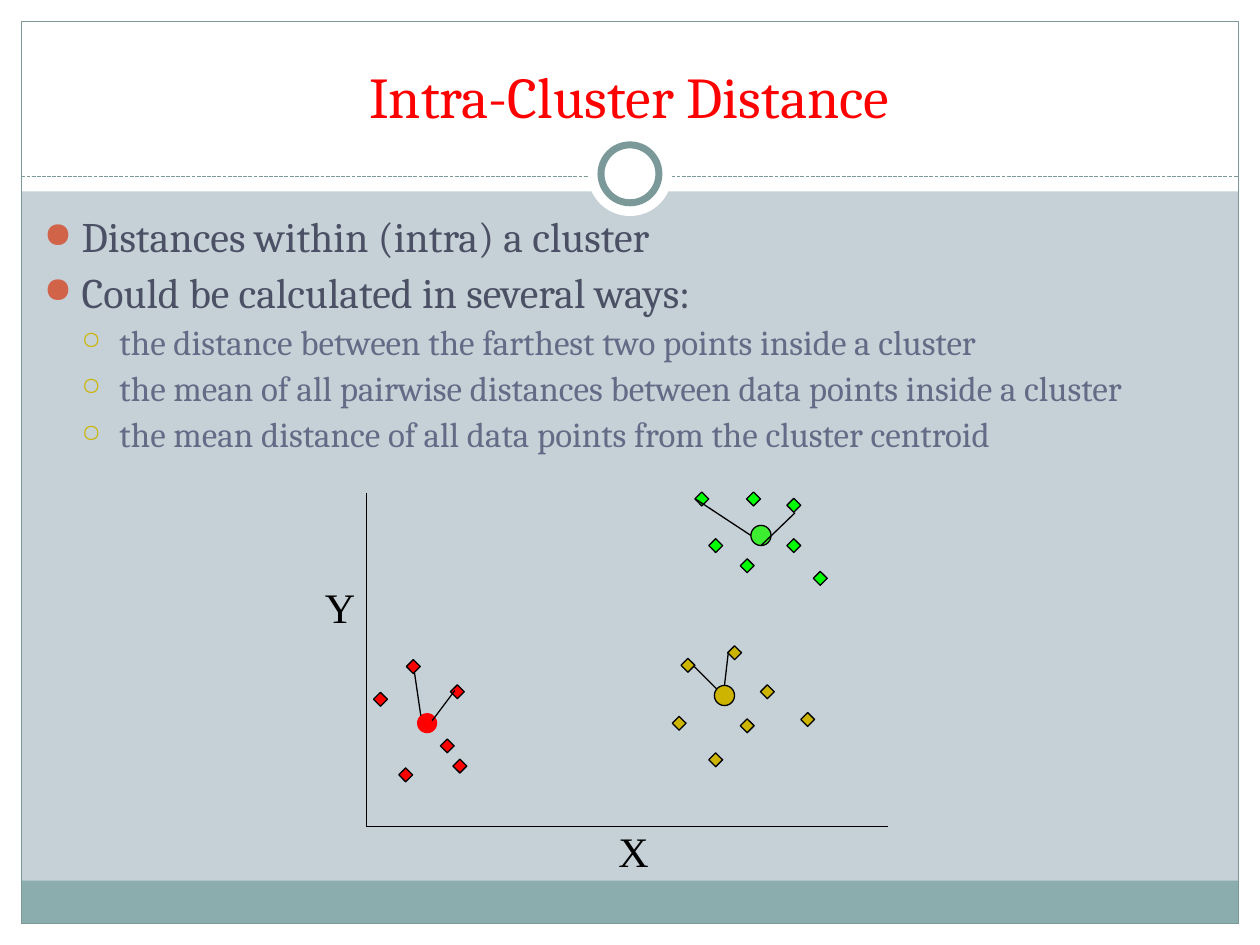
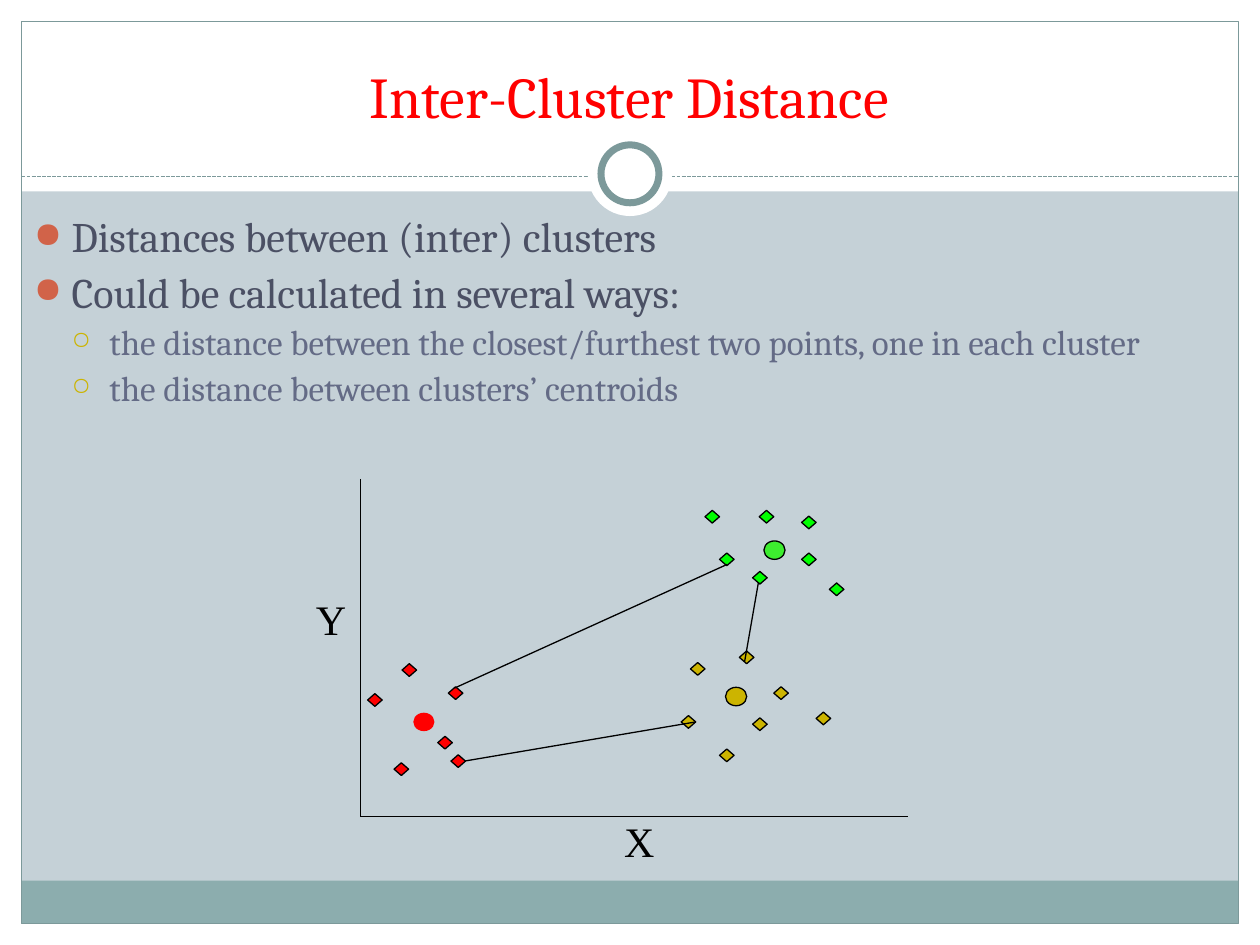
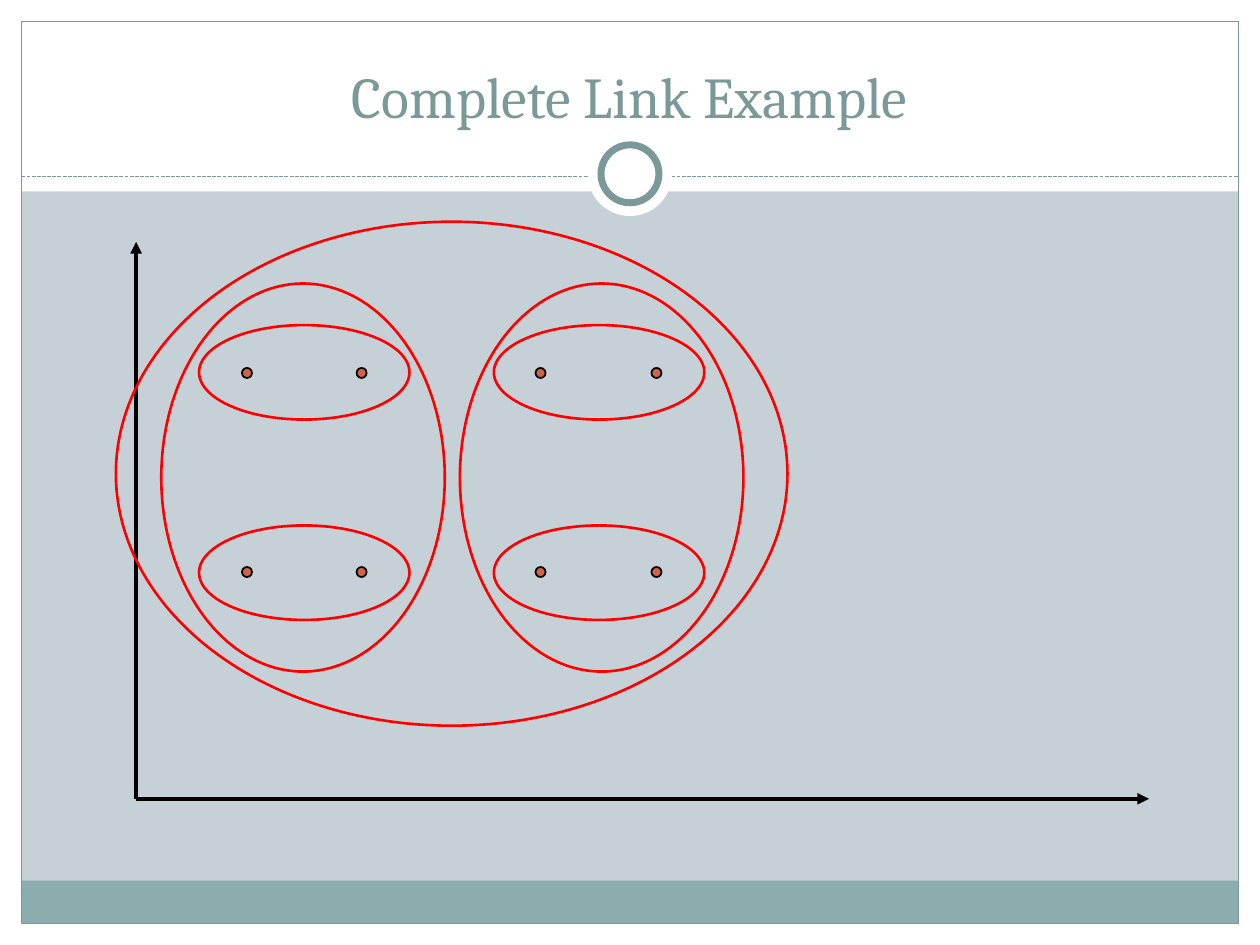
"""Build three slides on cluster distances and complete linkage."""
import itertools

import lxml.etree
import pptx
import pptx.dml.color
import pptx.enum.dml
import pptx.enum.shapes
import pptx.enum.text
import pptx.oxml.ns
import pptx.util

WIDTH, HEIGHT = 10, 7.5
MARGIN = 0.17
TEAL, BAND, BACKGROUND = "7C999A", "8CADAE", "C5D1D7"
RED, GREEN, YELLOW, BLACK, WHITE = "FF0000", "00FF00", "CCB400", "000000", "FFFFFF"
CENTROID_GREEN, ORANGE = "3DED2F", "D16349"
FONT, AXIS_FONT = "Cambria", "Times New Roman"

LEVELS = [
    dict(size=24, color="4B5064", bullet="●", bullet_color=ORANGE, bullet_size=85, space=5.6),
    dict(size=20, color="646B86", bullet="○", bullet_color=YELLOW, bullet_size=70, space=4.7),
]
INDENT = 0.3

CLUSTERS = [
    dict(color=RED, centroid=(0.48, 0.82), centroid_color=RED, centroid_line=None,
         points=[(0.64, 0.64), (0.74, 0.48), (0.37, 1.27), (0.72, 1.07), (0.31, 0.41), (0.11, 1.01)]),
    dict(color=GREEN, centroid=(3.13, 2.31), centroid_color=CENTROID_GREEN, centroid_line=BLACK,
         points=[(3.07, 2.6), (3.39, 2.55), (2.77, 2.23), (3.39, 2.23), (3.6, 1.97), (2.66, 2.6),
                 (3.02, 2.07)]),
    dict(color=YELLOW, centroid=(2.84, 1.04), centroid_color=YELLOW, centroid_line=BLACK,
         points=[(2.92, 1.38), (2.48, 0.82), (3.02, 0.8), (2.55, 1.28), (3.5, 0.85), (2.77, 0.53),
                 (3.18, 1.07)]),
]
AXIS_LENGTH = 4.14
AXIS_LABELS = [("X", 1.9, 0.06), ("Y", -0.43, 1.99)]
DIAMOND_SIZE, CENTROID_SIZE = 0.11, 0.16

SCATTER_SLIDES = [
    dict(
        title="Intra-Cluster Distance",
        body=(0.25, 1.67, 9.5, 5.42),
        bullets=[
            (0, "Distances within (intra) a cluster"),
            (0, "Could be calculated in several ways:"),
            (1, "the distance between the farthest two points inside a cluster"),
            (1, "the mean of all pairwise distances between data points inside a cluster"),
            (1, "the mean distance of all data points from the cluster centroid"),
        ],
        origin=(2.91, 6.56), scale=(1, 1), axis_top=3.91,
        links=[((5.51, 5.29), (5.69, 5.47)), ((5.78, 5.18), (5.75, 5.44)),
               ((3.29, 5.34), (3.34, 5.68)), ((3.61, 5.48), (3.43, 5.72)),
               ((5.52, 3.96), (5.96, 4.25)), ((6.31, 4.07), (6.04, 4.33))],
    ),
    dict(
        title="Inter-Cluster Distance",
        body=(0.17, 1.67, 9.63, 5.42),
        bullets=[
            (0, "Distances between (inter) clusters"),
            (0, "Could be calculated in several ways:"),
            (1, "the distance between the closest/furthest two points, one in each cluster"),
            (1, "the distance between clusters’ centroids"),
        ],
        origin=(2.86, 6.48), scale=(1.05, 0.915), axis_top=3.8,
        links=[((3.61, 5.46), (5.77, 4.48)), ((3.69, 6.04), (5.52, 5.73)),
               ((6.02, 4.62), (5.91, 5.25))],
    ),
]

LINK_TITLE = "Complete Link Example"
LINK_ORIGIN, LINK_AXIS_ENDS = (1.08, 6.34), [(1.08, 1.92), (9.12, 6.34)]
POINT_COLUMNS, POINT_ROWS, POINT_SIZE = (1.92, 2.83, 4.25, 5.17), (2.92, 4.5), 0.08
PAIR_COLUMNS, PAIR_ROWS, PAIR_SIZE = (1.58, 3.92), (2.58, 4.17), (1.67, 0.75)
GROUP_COLUMNS, GROUP_TOP, GROUP_SIZE = (1.28, 3.65), 2.25, (2.25, 3.08)
WHOLE = (0.92, 1.76, 5.33, 4)

SHAPES = pptx.enum.shapes.MSO_SHAPE


def rgb(color):
    return pptx.dml.color.RGBColor.from_string(color)


def inches(values):
    return [pptx.util.Inches(value) for value in values]


def add_child(parent, tag, **attributes):
    element = lxml.etree.SubElement(parent, pptx.oxml.ns.qn(tag))
    for name, value in attributes.items():
        element.set(name, str(value))
    return element


def add_shape(slide, kind, box, fill=None, line=None, weight=0.75):
    shape = slide.shapes.add_shape(kind, *inches(box))
    shape.shadow.inherit = False
    if fill:
        shape.fill.solid()
        shape.fill.fore_color.rgb = rgb(fill)
    else:
        shape.fill.background()
    if line:
        shape.line.color.rgb = rgb(line)
        shape.line.width = pptx.util.Pt(weight)
    else:
        shape.line.fill.background()
    return shape


def add_centered(slide, kind, center, size, **style):
    box = [middle - length / 2 for middle, length in zip(center, size)]
    return add_shape(slide, kind, (*box, *size), **style)


def add_line(slide, start, end, color=BLACK, weight=0.75, dash=None, arrow=False):
    line = slide.shapes.add_connector(
        pptx.enum.shapes.MSO_CONNECTOR.STRAIGHT, *inches((*start, *end)))
    line.line.color.rgb = rgb(color)
    line.line.width = pptx.util.Pt(weight)
    if dash:
        line.line.dash_style = dash
    if arrow:
        add_child(line.line._get_or_add_ln(), "a:tailEnd", type="triangle")
    add_child(line.element.spPr, "a:effectLst")
    return line


def write(paragraph, text, size, color, font=FONT, align=None, level=0, bullet=None,
          bullet_color=None, bullet_size=100, space=0):
    paragraph.text = text
    if bullet:
        properties = paragraph._p.get_or_add_pPr()
        properties.set("marL", str(pptx.util.Inches(INDENT * (level + 1))))
        properties.set("indent", str(pptx.util.Inches(-INDENT)))
        add_child(add_child(properties, "a:buClr"), "a:srgbClr", val=bullet_color)
        add_child(properties, "a:buSzPct", val=bullet_size * 1000)
        add_child(properties, "a:buChar", char=bullet)
        paragraph.level = level
        paragraph.line_spacing = 0.9
        paragraph.space_before = pptx.util.Pt(space)
    paragraph.alignment = align
    run_font = paragraph.runs[0].font
    run_font.name = font
    run_font.size = pptx.util.Pt(size)
    run_font.color.rgb = rgb(color)


def prepare_layout(layout):
    layout.background.fill.solid()
    layout.background.fill.fore_color.rgb = rgb(BACKGROUND)
    title, *others = layout.placeholders
    for placeholder in others:
        layout.shapes.element.remove(placeholder.element)
    title.left, title.top, title.width, title.height = inches((0.33, 0.25, 9.33, 0.83))
    title.text_frame.vertical_anchor = pptx.enum.text.MSO_ANCHOR.BOTTOM


def add_frame(slide, layout):
    inner_width = WIDTH - 2 * MARGIN
    inner_bottom = HEIGHT - MARGIN
    rectangle, ellipse = SHAPES.RECTANGLE, SHAPES.OVAL
    borders = [(0, inner_bottom, WIDTH, MARGIN), (0, 0, WIDTH, 1.52),
               (0, 0, MARGIN, HEIGHT), (WIDTH - MARGIN, 0, MARGIN, HEIGHT)]
    parts = [add_shape(slide, rectangle, box, fill=WHITE) for box in borders]
    parts += [
        add_shape(slide, rectangle, (MARGIN, 6.99, inner_width, 0.34), fill=BAND),
        add_shape(slide, rectangle, (MARGIN, MARGIN, inner_width, inner_bottom - MARGIN), line=TEAL),
        add_line(slide, (MARGIN, 1.4), (WIDTH - MARGIN, 1.4), color=TEAL,
                 dash=pptx.enum.dml.MSO_LINE.SQUARE_DOT),
        add_centered(slide, ellipse, (WIDTH / 2, 1.38), (0.67, 0.67), fill=WHITE),
        add_centered(slide, ellipse, (WIDTH / 2, 1.38), (0.46, 0.46), fill=WHITE, line=TEAL, weight=4),
    ]
    for part in parts:
        layout.shapes.element.append(part.element)


def add_slide(presentation, layout, title, color):
    slide = presentation.slides.add_slide(layout)
    write(slide.shapes.title.text_frame.paragraphs[0], title, size=33, color=color,
          align=pptx.enum.text.PP_ALIGN.CENTER)
    return slide


def add_bullets(slide, box, bullets):
    frame = slide.shapes.add_textbox(*inches(box)).text_frame
    frame.word_wrap = True
    for index, (level, text) in enumerate(bullets):
        paragraph = frame.add_paragraph() if index else frame.paragraphs[0]
        style = LEVELS[level] if index else {**LEVELS[level], "space": 0}
        write(paragraph, text, level=level, **style)


def add_scatter(slide, origin, scale, axis_top, links):
    def place(right, up):
        return origin[0] + right * scale[0], origin[1] - up * scale[1]

    def scaled(size):
        return size * scale[0], size * scale[1]

    for cluster in CLUSTERS:
        for point in cluster["points"]:
            add_centered(slide, SHAPES.DIAMOND, place(*point), scaled(DIAMOND_SIZE),
                         fill=cluster["color"], line=BLACK)
        add_centered(slide, SHAPES.OVAL, place(*cluster["centroid"]), scaled(CENTROID_SIZE),
                     fill=cluster["centroid_color"], line=cluster["centroid_line"])
    add_line(slide, (origin[0], axis_top), origin)
    add_line(slide, origin, place(AXIS_LENGTH, 0))
    for text, right, up in AXIS_LABELS:
        label = slide.shapes.add_textbox(*inches((*place(right, up), 0.44, 0.46)))
        label.text_frame.word_wrap = False
        write(label.text_frame.paragraphs[0], text, size=24, color=BLACK, font=AXIS_FONT)
    for start, end in links:
        add_line(slide, start, end)


def add_linkage(slide):
    for end in LINK_AXIS_ENDS:
        add_line(slide, LINK_ORIGIN, end, weight=2.25, arrow=True)
    for corner in itertools.product(POINT_COLUMNS, POINT_ROWS):
        add_shape(slide, SHAPES.OVAL, (*corner, POINT_SIZE, POINT_SIZE),
                  fill=ORANGE, line=BLACK, weight=1)
    rings = [(*corner, *PAIR_SIZE) for corner in itertools.product(PAIR_COLUMNS, PAIR_ROWS)]
    rings += [(left, GROUP_TOP, *GROUP_SIZE) for left in GROUP_COLUMNS]
    for ring in [*rings, WHOLE]:
        add_shape(slide, SHAPES.OVAL, ring, line=RED, weight=1.5)


def main():
    presentation = pptx.Presentation()
    presentation.slide_width, presentation.slide_height = inches((WIDTH, HEIGHT))
    layout = presentation.slide_layouts.get_by_name("Title Only")
    prepare_layout(layout)
    for content in SCATTER_SLIDES:
        slide = add_slide(presentation, layout, content["title"], RED)
        add_scatter(slide, content["origin"], content["scale"], content["axis_top"], content["links"])
        add_bullets(slide, content["body"], content["bullets"])
    slide = add_slide(presentation, layout, LINK_TITLE, TEAL)
    add_frame(slide, layout)
    add_linkage(slide)
    presentation.save("out.pptx")


if __name__ == "__main__":
    main()
